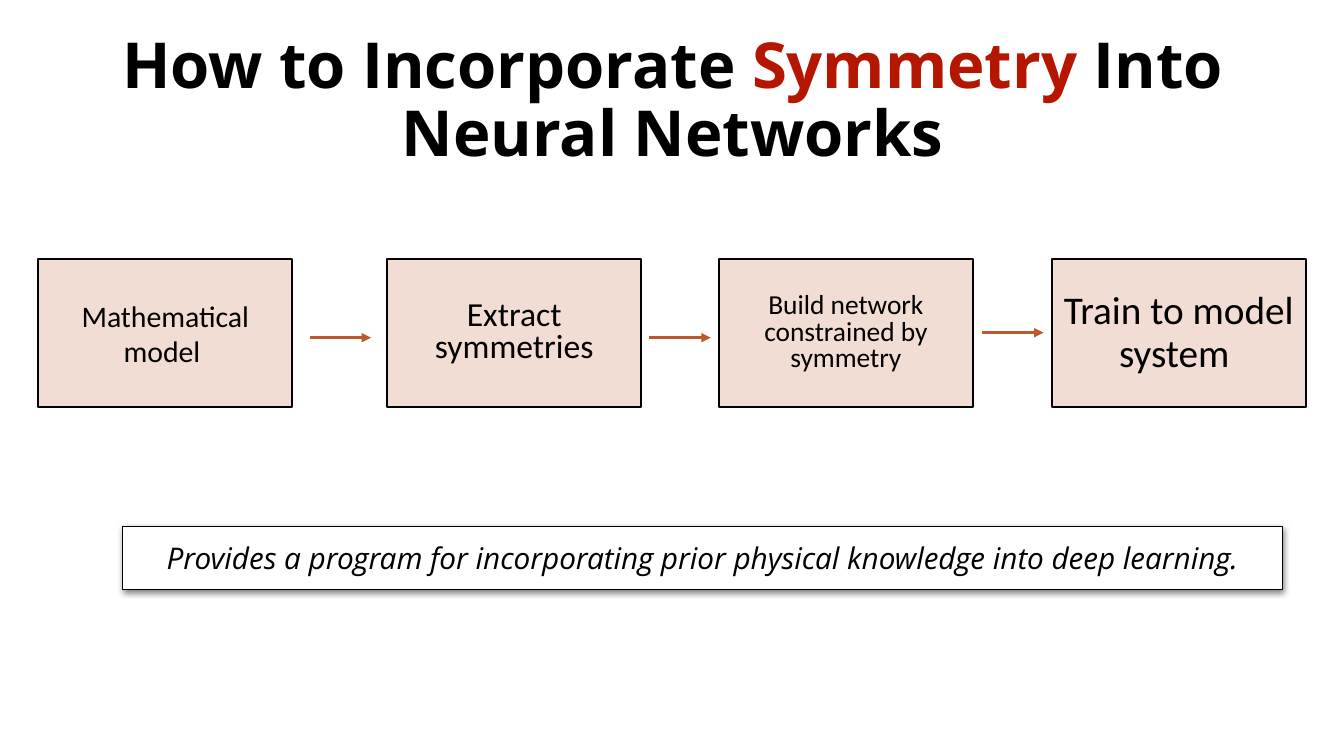
from lxml import etree
from pptx import Presentation
from pptx.dml.color import RGBColor
from pptx.enum import shapes, text
from pptx.oxml import ns
from pptx.util import Inches, Pt

COLORS = {"ink": "000000", "red": "B41600", "rust": "BD582C", "paper": "FFFFFF"}
TITLE = [("How to Incorporate ", "ink"), ("Symmetry ", "red"), ("Into Neural Networks", "ink")]
STEPS = [
    ("Mathematical model ", 0.38, 21.3, 1.0),
    ("Extract symmetries", 3.84, 24, 0.8),
    ("Build network constrained by symmetry", 7.13, 19.6, 0.8),
    ("Train to model system ", 10.43, 28, 0.9),
]
ARROWS = [(3.07, 3.35), (6.44, 3.35), (9.74, 3.3)]
SUMMARY = "Provides a program for incorporating prior physical knowledge into deep learning."
STEP_TOP, STEP_WIDTH, STEP_HEIGHT = 2.57, 2.52, 1.47
ARROW_LENGTH = 0.61


def color(name):
    return RGBColor.from_string(COLORS[name])


def add_element(parent, tag, **attributes):
    return etree.SubElement(parent, ns.qn(tag), attributes)


def write(box, spans, font, size, spacing=1.0, inset=0.05, bold=False, italic=False):
    frame = box.text_frame
    frame.word_wrap = True
    frame.vertical_anchor = text.MSO_ANCHOR.MIDDLE
    frame.margin_left = frame.margin_right = Inches(inset)
    frame.margin_top = frame.margin_bottom = Inches(inset)
    paragraph = frame.paragraphs[0]
    paragraph.alignment = text.PP_ALIGN.CENTER
    paragraph.line_spacing = spacing
    for words, ink in spans:
        span = paragraph.add_run()
        span.text = words
        span.font.name = font
        span.font.size = Pt(size)
        span.font.bold = bold
        span.font.italic = italic
        span.font.color.rgb = color(ink)


def add_box(page, left, top, width, height, fill, line_width):
    box = page.shapes.add_shape(
        shapes.MSO_SHAPE.RECTANGLE, Inches(left), Inches(top), Inches(width), Inches(height))
    box.shadow.inherit = False
    box.fill.solid()
    box.fill.fore_color.rgb = color(fill)
    box.line.color.rgb = color("ink")
    box.line.width = Pt(line_width)
    return box


def add_arrow(page, left, top):
    arrow = page.shapes.add_connector(
        shapes.MSO_CONNECTOR.STRAIGHT,
        Inches(left), Inches(top), Inches(left + ARROW_LENGTH), Inches(top))
    arrow.line.color.rgb = color("rust")
    arrow.line.width = Pt(2.25)
    add_element(arrow.line._get_or_add_ln(), "a:tailEnd", type="triangle")
    add_element(arrow._element.spPr, "a:effectLst")


def add_shadow(box):
    effects = box._element.spPr.find(ns.qn("a:effectLst"))
    shadow = add_element(
        effects, "a:outerShdw", blurRad=str(Pt(4.5)), dist=str(Pt(1.5)),
        dir="5400000", rotWithShape="0")
    shade = add_element(shadow, "a:srgbClr", val=COLORS["ink"])
    add_element(shade, "a:alpha", val="50000")


def main():
    deck = Presentation()
    deck.slide_width, deck.slide_height = Inches(13.33), Inches(7.5)
    page = deck.slides.add_slide(deck.slide_layouts[6])

    title = page.shapes.add_textbox(Inches(0.98), Inches(0.2), Inches(11.38), Inches(1.62))
    write(title, TITLE, "Open Sans", 45.3, spacing=0.9, bold=True)

    for words, left, size, spacing in STEPS:
        step = add_box(page, left, STEP_TOP, STEP_WIDTH, STEP_HEIGHT, "rust", 1.5)
        tint = step._element.spPr.find(ns.qn("a:solidFill"))[0]
        add_element(tint, "a:alpha", val="20000")
        write(step, [(words, "ink")], "Calibri", size, spacing)

    for left, top in ARROWS:
        add_arrow(page, left, top)

    summary = add_box(page, 1.22, 5.22, 11.5, 0.63, "paper", 0.75)
    add_shadow(summary)
    write(summary, [(SUMMARY, "ink")], "Open Sans", 21.3, inset=0.13, italic=True)

    deck.save("out.pptx")


if __name__ == "__main__":
    main()
